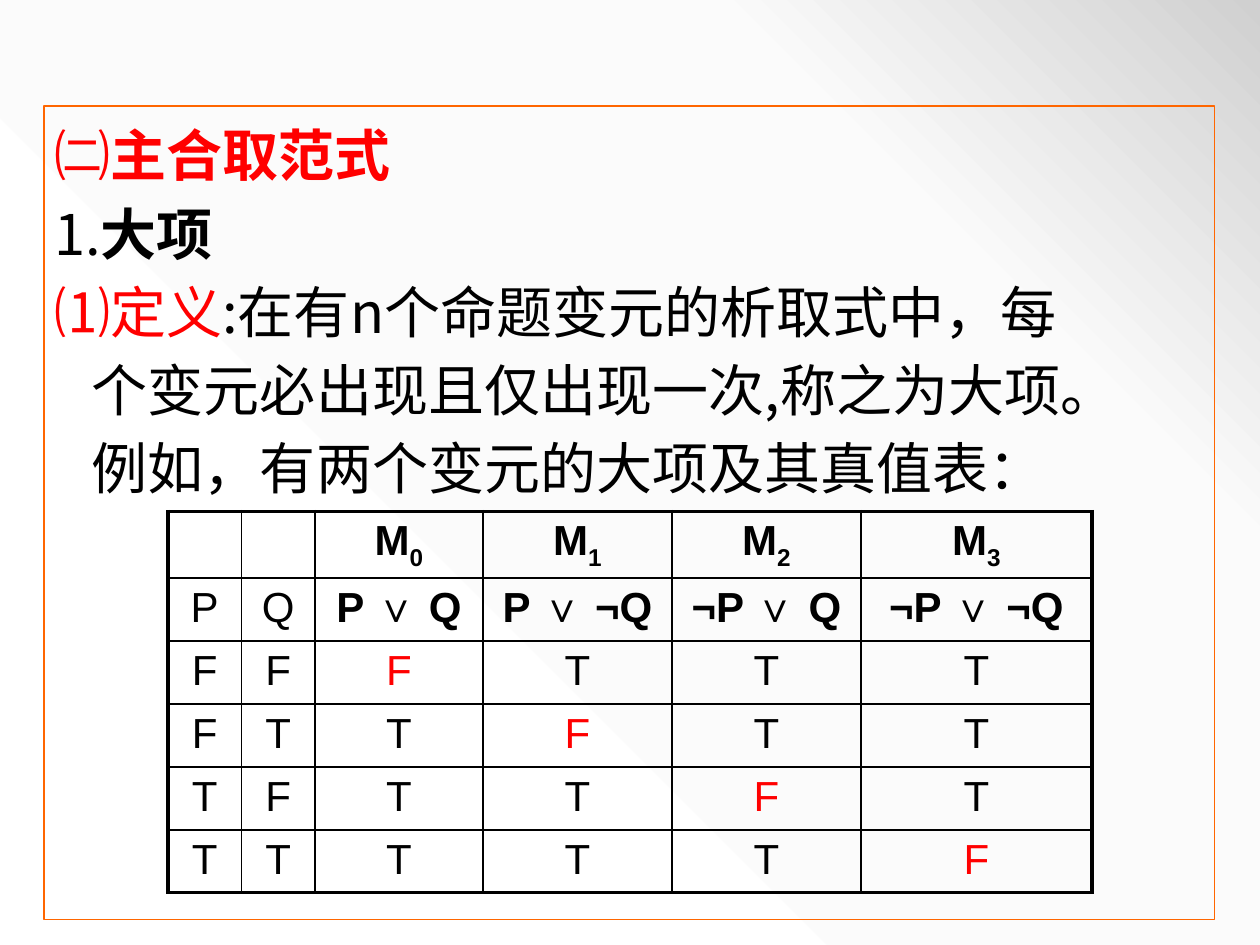
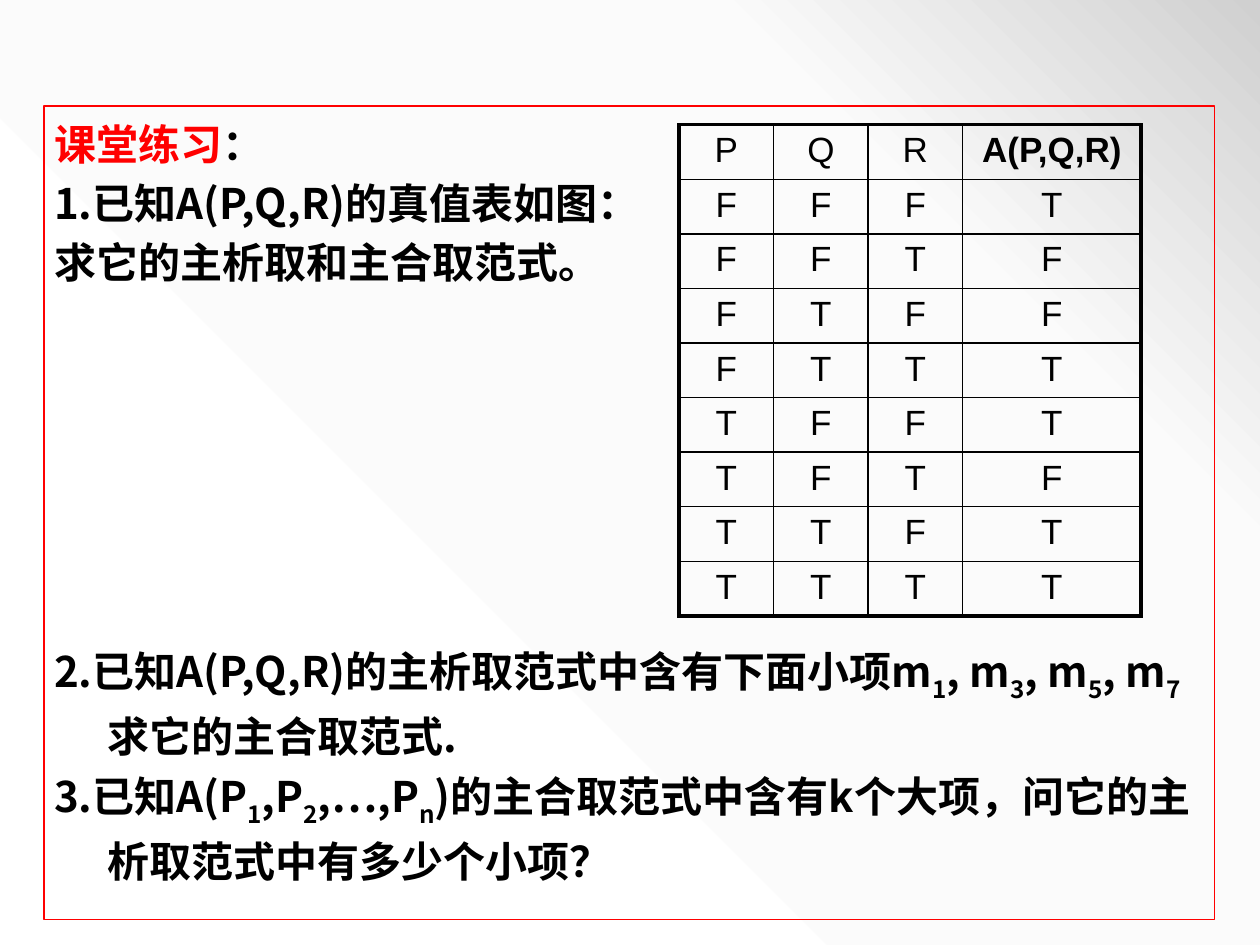
import dataclasses
import itertools

import lxml.etree
import pptx
import pptx.dml.color
import pptx.enum.text
import pptx.oxml.ns
import pptx.util

Inches = pptx.util.Inches
Pt = pptx.util.Pt
qn = pptx.oxml.ns.qn


@dataclasses.dataclass(frozen=True)
class Theme:
    """Colours, fonts and sizes shared by the slides."""
    ink: str = "000000"
    red: str = "FF0000"
    orange: str = "FF6600"
    backdrop: tuple = ((0, "FFFFFF"), (75, "FBFBFB"), (100, "D0D0D0"))
    body_font: str = "Noto Sans CJK SC"
    table_font: str = "Arial"
    lecture_size: int = 32
    exercise_size: int = 24
    lecture_table_size: int = 24
    exercise_table_size: int = 20
    frame_line: float = 0.75
    outer_line: float = 2.25
    inner_line: float = 1
    hanging: float = 0.42
    line_spacing: float = 1.15
    paragraph_gap: float = 0.5


THEME = Theme()
RED = {"color": THEME.red}
BOLD = {"bold": True}
SUB = {"sub": True}


def rgb(color):
    """Turn a hex string into a colour."""
    return pptx.dml.color.RGBColor.from_string(color)


def add_xml(parent, tag, **attributes):
    """Append a child element with the given attributes."""
    return lxml.etree.SubElement(
        parent, qn(tag), {name: str(value) for name, value in attributes.items()})


def set_backdrop(prs):
    """Give the slide master its diagonal gradient."""
    master = prs.slide_master
    fill = master.background.fill
    fill.gradient()
    fill.gradient_angle = 45
    stops = master.element.find(".//" + qn("p:bg")).find(".//" + qn("a:gsLst"))
    for stop in list(stops):
        stops.remove(stop)
    for position, color in THEME.backdrop:
        stop = add_xml(stops, "a:gs", pos=position * 1000)
        add_xml(stop, "a:srgbClr", val=color)


def add_runs(p, parts):
    """Add plain strings or (text, style) pairs as runs."""
    for part in parts:
        text, style = (part, {}) if isinstance(part, str) else part
        r = p.add_run()
        r.text = text
        if "color" in style:
            r.font.color.rgb = rgb(style["color"])
        if "bold" in style:
            r.font.bold = style["bold"]
        if "sub" in style:
            r.font._element.set("baseline", "-25000")


def format_font(p, font, size, bold=False):
    """Set the font that the runs of a paragraph share."""
    p.font.size = Pt(size)
    p.font.bold = bold
    p.font.color.rgb = rgb(THEME.ink)
    p.font.name = font
    add_xml(p.font._element, "a:ea", typeface=font)


def add_body(s, line_color, size, bold, paragraphs):
    """Fill the framed body with (parts, indent, space before) paragraphs."""
    sp = s.placeholders[1]
    sp.left, sp.top = Inches(0.35), Inches(0.84)
    sp.width, sp.height = Inches(9.29), Inches(6.46)
    sp.line.color.rgb = rgb(line_color)
    sp.line.width = Pt(THEME.frame_line)
    tf = sp.text_frame
    tf.word_wrap = True
    tf.auto_size = pptx.enum.text.MSO_AUTO_SIZE.NONE
    tf.vertical_anchor = pptx.enum.text.MSO_ANCHOR.TOP
    tf.margin_left = tf.margin_right = Inches(0.08)
    tf.margin_top = tf.margin_bottom = Inches(0.04)
    for i, (parts, indent, space) in enumerate(paragraphs):
        p = tf.paragraphs[0] if i == 0 else tf.add_paragraph()
        p.line_spacing = THEME.line_spacing
        p.space_before = Pt(space if i else 0)
        pPr = p._p.get_or_add_pPr()
        left, first = (indent, 0) if indent else (THEME.hanging, -THEME.hanging)
        pPr.set("marL", str(Inches(left)))
        pPr.set("indent", str(Inches(first)))
        add_xml(pPr, "a:buNone")
        format_font(p, THEME.body_font, size, bold)
        add_runs(p, parts)


def set_borders(cell, outer_sides):
    """Draw the cell borders, thicker on the outer sides."""
    tcPr = cell._tc.get_or_add_tcPr()
    for side in "LRTB":
        width = THEME.outer_line if side in outer_sides else THEME.inner_line
        ln = add_xml(tcPr, "a:ln" + side, w=Pt(width))
        add_xml(add_xml(ln, "a:solidFill"), "a:srgbClr", val=THEME.ink)


def add_truth_table(s, left, top, widths, height, size, rows):
    """Add a ruled table of centred cells, each a list of run parts."""
    frame = s.shapes.add_table(
        len(rows), len(widths), Inches(left), Inches(top),
        Inches(sum(widths)), Inches(height))
    table = frame.table
    table.first_row = table.horz_banding = False
    for column, width in zip(table.columns, widths):
        column.width = Inches(width)
    for i, row in enumerate(rows):
        table.rows[i].height = Inches(height / len(rows))
        for j, parts in enumerate(row):
            cell = table.cell(i, j)
            edges = {"L": j == 0, "R": j == len(widths) - 1,
                     "T": i == 0, "B": i == len(rows) - 1}
            set_borders(cell, [side for side, outer in edges.items() if outer])
            cell.fill.background()
            p = cell.text_frame.paragraphs[0]
            p.alignment = pptx.enum.text.PP_ALIGN.CENTER
            format_font(p, THEME.table_font, size)
            add_runs(p, parts)


def add_slide(prs):
    """Add a slide that keeps only the body placeholder."""
    s = prs.slides.add_slide(prs.slide_layouts[1])
    title = s.shapes.title
    title.element.getparent().remove(title.element)
    return s


def build_maxterms(prs):
    """Build the slide that defines maxterms."""
    s = add_slide(prs)
    gap = THEME.paragraph_gap
    add_body(s, THEME.orange, THEME.lecture_size, False, [
        ([("㈡", RED), ("主合取范式", RED | BOLD)], 0, gap),
        (["1.", ("大项", BOLD)], 0, gap),
        ([("⑴定义", RED), ":在有n个命题变元的析取式中，每"], 0, gap),
        (["个变元必出现且仅出现一次,称之为大项。"], 0.3, gap),
        (["例如，有两个变元的大项及其真值表："], 0.3, gap),
    ])
    terms = itertools.product(("P ", "¬P "), ("Q", "¬Q"))
    rows = [
        [[], []] + [[("M", BOLD), (str(i), BOLD | SUB)] for i in range(4)],
        [["P"], ["Q"]] + [[(a, BOLD), "∨ ", (b, BOLD)] for a, b in terms],
    ]
    for i, values in enumerate(itertools.product("FT", repeat=2)):
        results = [[("F", RED)] if i == j else ["T"] for j in range(4)]
        rows.append([[value] for value in values] + results)
    add_truth_table(s, 4 / 3, 4.06, (7 / 12, 7 / 12, 4 / 3, 1.5, 1.5, 11 / 6), 3,
                    THEME.lecture_table_size, rows)


def build_exercises(prs):
    """Build the slide of class exercises."""
    s = add_slide(prs)
    gap, below_table = THEME.paragraph_gap, 200.5
    add_body(s, THEME.red, THEME.exercise_size, True, [
        ([("课堂练习", RED), "："], 0, gap),
        (["1.已知A(P,Q,R)的真值表如图："], 0, gap),
        (["求它的主析取和主合取范式。"], 0, gap),
        (["2.已知A(P,Q,R)的主析取范式中含有下面小项m", ("1", SUB), ", m", ("3", SUB),
          ", m", ("5", SUB), ", m", ("7", SUB), "求它的主合取范式."], 0, below_table),
        (["3.已知A(P", ("1", SUB), ",P", ("2", SUB), ",…,P", ("n", SUB),
          ")的主合取范式中含有k个大项，问它的主析取范式中有多少个小项？"], 0, gap),
    ])
    rows = [[["P"], ["Q"], ["R"], [("A(P,Q,R)", BOLD)]]]
    for values, result in zip(itertools.product("FT", repeat=3), "TFFTTFTT"):
        rows.append([[value] for value in (*values, result)])
    add_truth_table(s, 5.39, 0.99, (0.75, 0.75, 0.75, 17 / 12), 3.9,
                    THEME.exercise_table_size, rows)


def main():
    """Build and save the presentation."""
    prs = pptx.Presentation()
    prs.slide_width, prs.slide_height = Inches(10), Inches(7.5)
    set_backdrop(prs)
    build_maxterms(prs)
    build_exercises(prs)
    prs.save("out.pptx")


if __name__ == "__main__":
    main()
